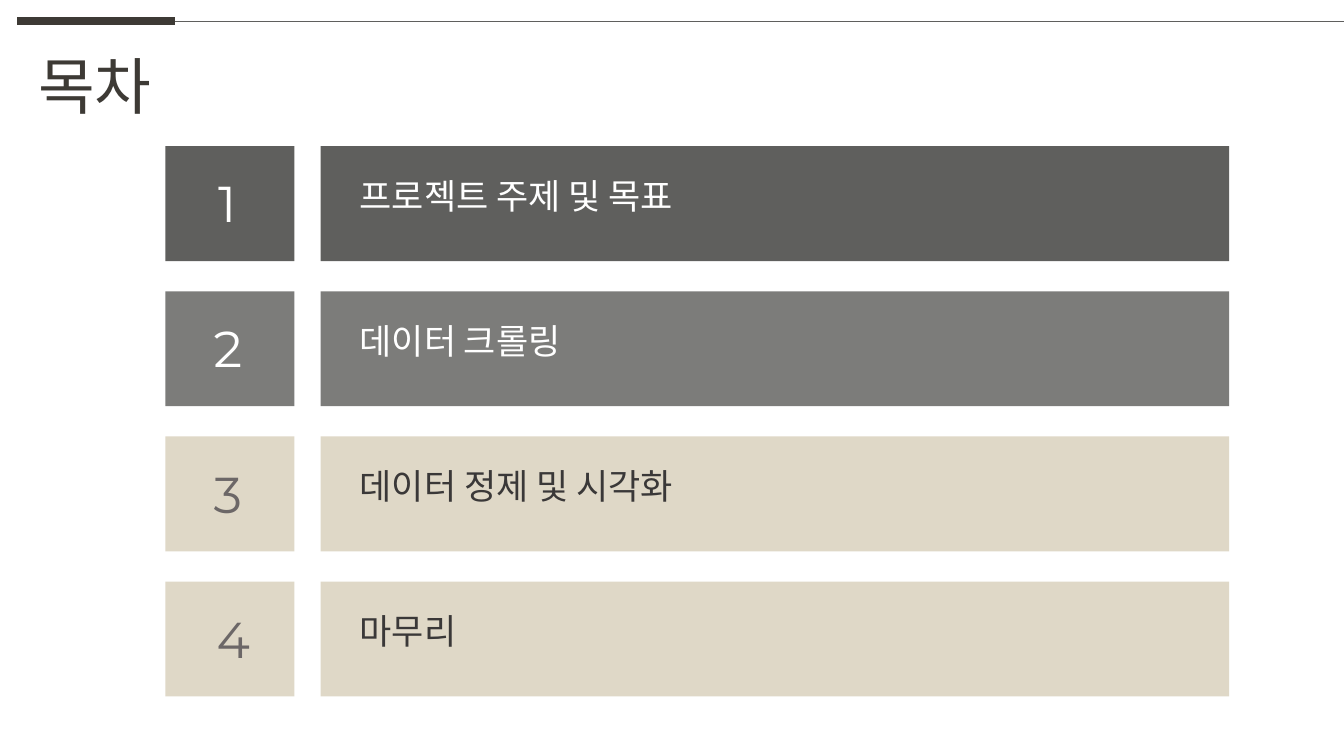
from pptx import Presentation
from pptx import util as u
from pptx.dml import color
from pptx.enum import shapes, text
from pptx.oxml import ns
from lxml import etree

EMU_PER_PX = 9144  # 100 px to the inch

COLORS = {
    "ink": "3D3A35",
    "charcoal": "5F5F5D",
    "gray": "7C7C7A",
    "beige": "DFD8C7",
    "white": "FFFFFF",
    "number": "6C6767",
    "label": "3A3838",
}

# label, bar colour, number colour, label colour, number left, label width
AGENDA = [
    ("프로젝트 주제 및 목표", "charcoal", "white", "white", 202, 371),
    ("데이터 크롤링", "gray", "white", "white", 202, 254),
    ("데이터 정제 및 시각화", "beige", "number", "label", 202, 371),
    ("마무리", "beige", "number", "label", 205, 125),
]
FIRST_ROW_TOP = 145
ROW_PITCH = 144
BAR_HEIGHT = 114


def px(*lengths):
    return [u.Emu(length * EMU_PER_PX) for length in lengths]


def rgb(name):
    return color.RGBColor.from_string(COLORS[name])


class AgendaSlide:
    font_name = "Montserrat"

    def __init__(self, presentation):
        self.slide = presentation.slides.add_slide(presentation.slide_layouts[5])

    def fill_text(self, shape, content, size, color_name, align):
        frame = shape.text_frame
        frame.word_wrap = True
        frame.auto_size = text.MSO_AUTO_SIZE.SHAPE_TO_FIT_TEXT
        frame.vertical_anchor = text.MSO_ANCHOR.TOP
        paragraph = frame.paragraphs[0]
        paragraph.alignment = align
        run = paragraph.add_run()
        run.text = content
        run.font.name = self.font_name
        run.font.size = u.Pt(size)
        run.font.color.rgb = rgb(color_name)

    def title(self, content, left, top, width, height):
        shape = self.slide.shapes.title
        shape.left, shape.top, shape.width, shape.height = px(left, top, width, height)
        self.fill_text(shape, content, 44, "ink", text.PP_ALIGN.LEFT)

    def label(self, content, box, size, color_name, align=text.PP_ALIGN.LEFT):
        shape = self.slide.shapes.add_textbox(*px(*box))
        self.fill_text(shape, content, size, color_name, align)

    def bar(self, box, color_name):
        shape = self.slide.shapes.add_shape(shapes.MSO_SHAPE.RECTANGLE, *px(*box))
        shape.shadow.inherit = False
        shape.fill.solid()
        shape.fill.fore_color.rgb = rgb(color_name)
        shape.line.fill.background()

    def rule(self, left, right, y, color_name, weight):
        connector = self.slide.shapes.add_connector(
            shapes.MSO_CONNECTOR.STRAIGHT, *px(left, y, right, y))
        connector.line.color.rgb = rgb(color_name)
        connector.line.width = u.Pt(weight)
        etree.SubElement(connector._element.spPr, ns.qn("a:effectLst"))


def main():
    presentation = Presentation()
    presentation.slide_width, presentation.slide_height = px(1333, 750)
    agenda = AgendaSlide(presentation)

    agenda.rule(17, 174, 21, "ink", 6)
    agenda.title("목차", 28, 43, 135, 84)
    agenda.rule(174, 1333, 21, "charcoal", 0.75)

    for index, row in enumerate(AGENDA):
        label, bar_color, number_color, label_color, number_left, label_width = row
        top = FIRST_ROW_TOP + index * ROW_PITCH
        agenda.bar((164, top, 128, BAR_HEIGHT), bar_color)
        agenda.bar((318, top, 901, BAR_HEIGHT), bar_color)
        agenda.label(str(index + 1), (number_left, top + 21, 47, 71), 36,
                     number_color, text.PP_ALIGN.CENTER)
        agenda.label(label, (347, top + 23, label_width, 52), 25, label_color)

    presentation.save("out.pptx")


if __name__ == "__main__":
    main()
